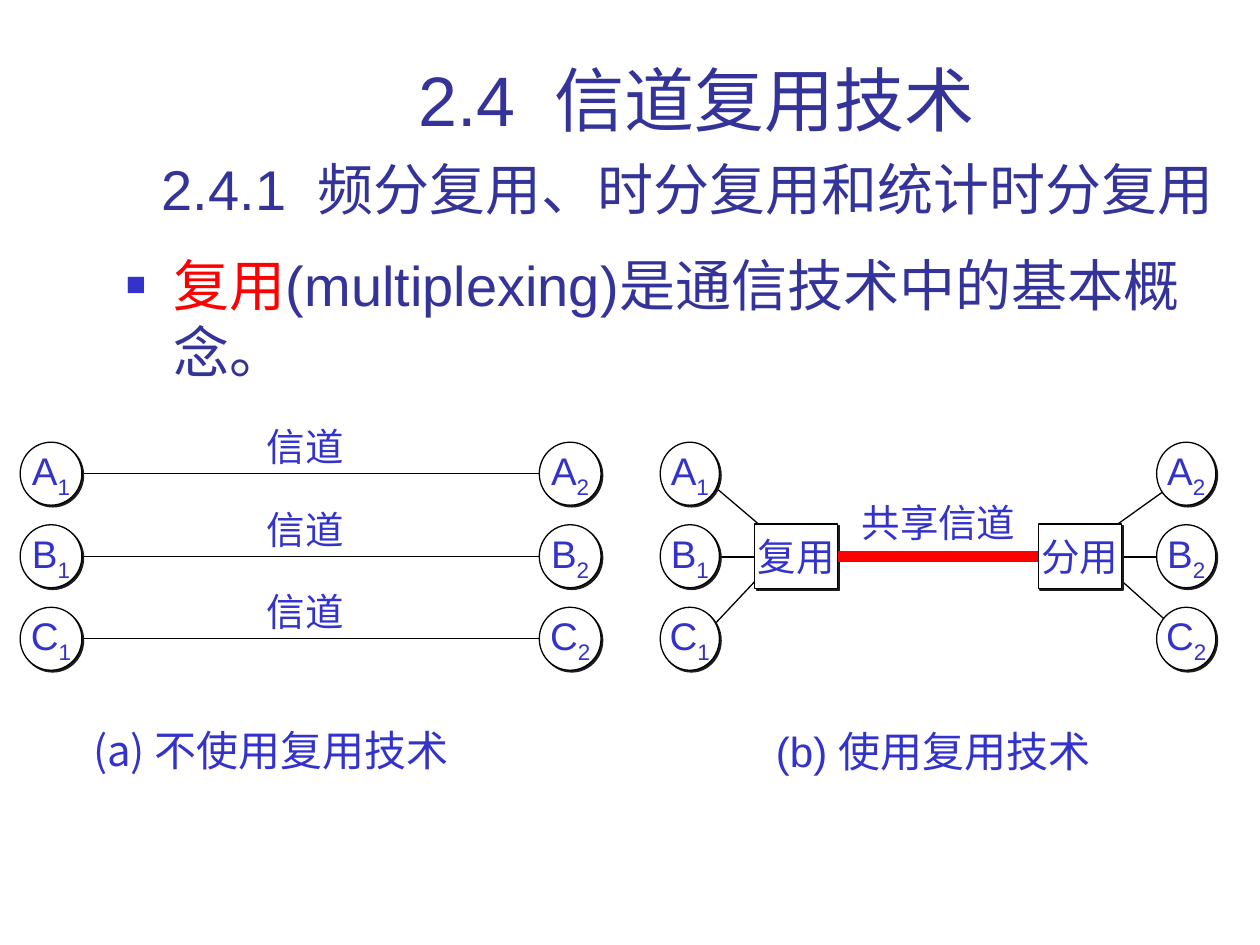
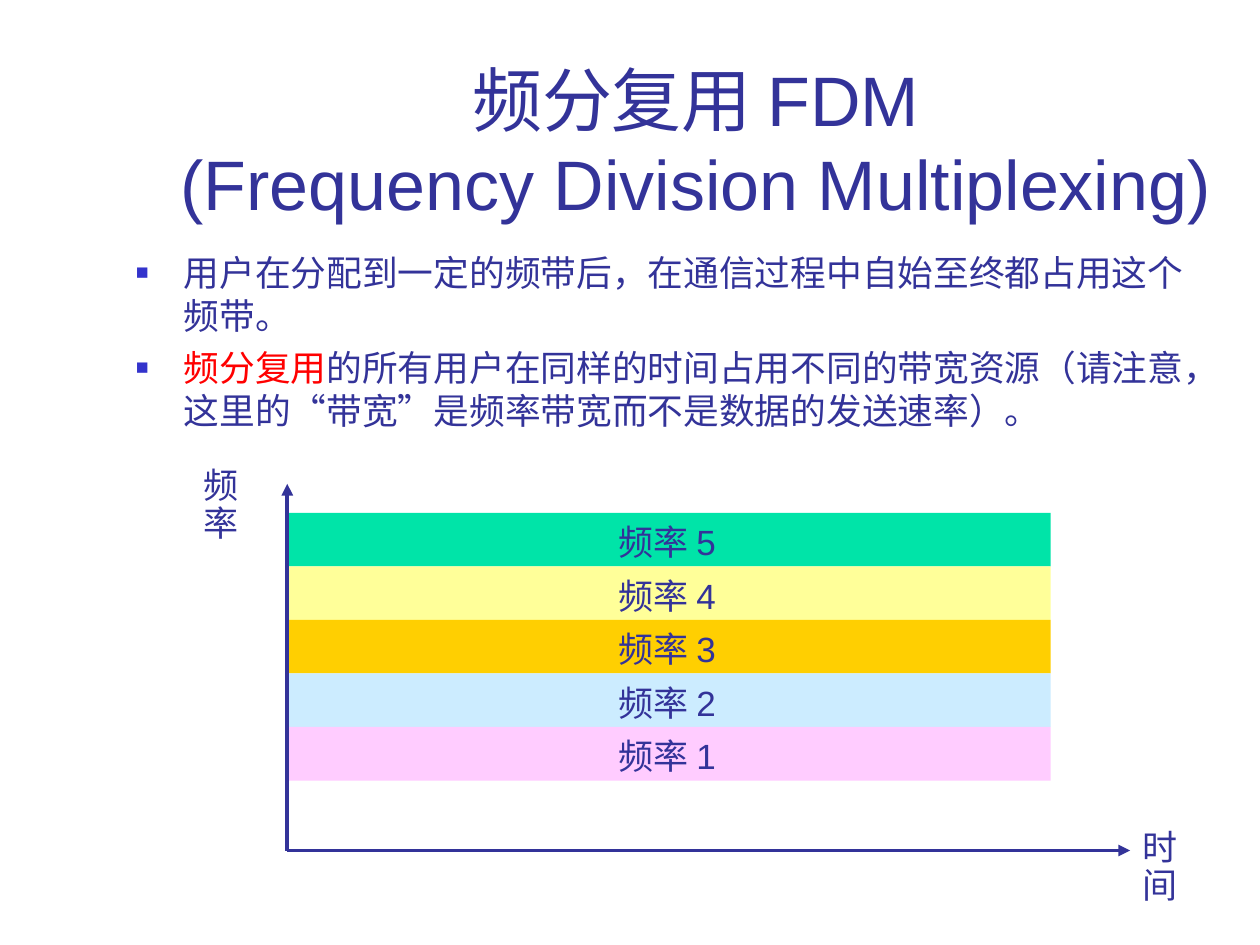
from lxml.etree import SubElement
from pptx import Presentation
from pptx.dml.color import RGBColor
from pptx.enum.shapes import MSO_CONNECTOR, MSO_SHAPE
from pptx.enum.text import MSO_ANCHOR, MSO_AUTO_SIZE, PP_ALIGN
from pptx.oxml.ns import qn
from pptx.util import Inches, Pt

HUES = {
    "navy": "333399", "blue": "3333CC", "red": "FF0000", "black": "000000",
    "white": "FFFFFF", "shade": "1C1C1C", "green": "00E4A8", "yellow": "FFFF99",
    "gold": "FFCF01", "sky": "CCECFF", "pink": "FFCCFF",
}
SANS, CJK, SERIF = "Arial", "Noto Sans CJK SC", "Times New Roman"


def hue(name):
    """Return the colour with this name."""
    return RGBColor.from_string(HUES[name])


def write(frame, paras, size=22, color="blue", font=SANS, align=PP_ALIGN.LEFT,
          anchor=MSO_ANCHOR.TOP, wrap=False, gap=None, lead=None, bullet=False):
    """Write paragraphs of (text, overrides) runs into a text frame."""
    frame.word_wrap = wrap
    frame.vertical_anchor = anchor
    for i, runs in enumerate(paras):
        para = frame.add_paragraph() if i else frame.paragraphs[0]
        para.alignment = align
        if gap is not None:
            para.space_before = Pt(gap)
        if lead:
            para.line_spacing = lead
        if bullet:
            mark(para)
        for words, extra in runs:
            if words == "\n":
                para.add_line_break()
                continue
            run = para.add_run()
            run.text = words
            run.font.name = font
            run.font.size = Pt(extra.get("size", size))
            run.font.color.rgb = hue(extra.get("color", color))
            props = run.font._element
            SubElement(props, qn("a:ea"), typeface=CJK)
            if "base" in extra:
                props.set("baseline", str(extra["base"] * 1000))


def mark(para):
    """Give a paragraph a hanging square bullet."""
    props = para._p.get_or_add_pPr()
    props.set("marL", str(Inches(0.38)))
    props.set("indent", str(-Inches(0.38)))
    tint = SubElement(props, qn("a:buClr"))
    SubElement(tint, qn("a:srgbClr"), val=HUES["blue"])
    SubElement(props, qn("a:buSzPct"), val="60000")
    SubElement(props, qn("a:buFont"), typeface=SANS)
    SubElement(props, qn("a:buChar"), char="■")


def text(slide, box, paras, grow=False, **style):
    """Add a text box."""
    frame = slide.shapes.add_textbox(*map(Inches, box)).text_frame
    write(frame, paras, **style)
    frame.auto_size = MSO_AUTO_SIZE.SHAPE_TO_FIT_TEXT if grow else MSO_AUTO_SIZE.NONE


def label(slide, box, words, **style):
    """Add a one-line label that fits its words."""
    text(slide, box, [[(words, {})]], grow=True, **style)


def title(slide, box, runs):
    """Add the slide title."""
    text(slide, box, [runs], size=40, color="navy", align=PP_ALIGN.CENTER,
         anchor=MSO_ANCHOR.BOTTOM, wrap=True)


def body(slide, box, paras, size, gap):
    """Add the bulleted text."""
    text(slide, box, paras, size=size, color="navy", gap=gap, wrap=True, bullet=True)


def shape(slide, kind, box, fill):
    """Add a plain filled shape."""
    item = slide.shapes.add_shape(kind, *map(Inches, box))
    item.shadow.inherit = False
    item.fill.solid()
    item.fill.fore_color.rgb = hue(fill)
    item.line.fill.background()
    return item


def node(slide, kind, box, runs):
    """Add an outlined, shadowed node with centred text."""
    item = shape(slide, kind, box, "white")
    item.line.color.rgb = hue("black")
    item.line.width = Pt(0.75)
    cast = SubElement(item._element.spPr.find(qn("a:effectLst")), qn("a:outerShdw"),
                      dist=str(Pt(1.4)), dir="2700000", algn="ctr", rotWithShape="0")
    SubElement(cast, qn("a:srgbClr"), val=HUES["shade"])
    write(item.text_frame, [runs], align=PP_ALIGN.CENTER, anchor=MSO_ANCHOR.MIDDLE)
    return item


def line(slide, start, end, color="black", width=0.75, arrow=False):
    """Add a straight line, with an arrowhead at its end if asked."""
    item = slide.shapes.add_connector(
        MSO_CONNECTOR.STRAIGHT, *map(Inches, (*start, *end)))
    item.line.color.rgb = hue(color)
    item.line.width = Pt(width)
    if arrow:
        SubElement(item.line._get_or_add_ln(), qn("a:tailEnd"), type="triangle")
    SubElement(item._element.spPr, qn("a:effectLst"))
    return item


def hosts(slide, left, top, width, span):
    """Add two facing columns of round hosts A, B and C."""
    for row, name in enumerate("ABC"):
        for side in (0, 1):
            node(slide, MSO_SHAPE.OVAL,
                 (left + side * span, top + row * 0.655, width, 0.5),
                 [(name, {}), (str(side + 1), {"base": -25})])


def single(slide, left, top):
    """Draw three pairs of hosts, each with a channel of its own."""
    for row in range(3):
        y = top + 0.25 + row * 0.655
        line(slide, (left + 0.49, y), (left + 4.21, y))
        label(slide, (left + 1.86, y - 0.45, 0.81, 0.47), "信道", font=CJK)
    hosts(slide, left, top, 0.49, 4.12)
    label(slide, (left + 0.48, top + 2.19, 3.41, 0.5), "(a) 不使用复用技术",
          size=24, font=CJK)


def shared(slide, left, top):
    """Draw three pairs of hosts that share one channel."""
    mid = top + 0.91
    line(slide, (left + 0.46, mid), (left + 4.03, mid))
    for near, far in ((0.37, 0.84), (4.12, 3.56)):
        line(slide, (left + near, top + 0.3), (left + far, top + 0.7))
        line(slide, (left + near, top + 1.51), (left + far, top + 1.01))
    hosts(slide, left, top, 0.47, 3.94)
    label(slide, (left + 1.5, top + 0.4, 1.42, 0.47), "共享信道")
    ends = [node(slide, MSO_SHAPE.RECTANGLE, (left + x, top + 0.65, 0.66, 0.51),
                 [(name, {})]) for x, name in ((0.75, "复用"), (3, "分用"))]
    link = line(slide, (left + 1.41, mid), (left + 3, mid), "red", 6)
    link.begin_connect(ends[0], 3)
    link.end_connect(ends[1], 1)
    label(slide, (left + 0.82, top + 2.2, 2.78, 0.5), "(b) 使用复用技术", size=24)


def bands(slide, left, top):
    """Draw the frequency bands over time, with their axes."""
    style = {"size": 20, "color": "navy", "lead": 0.9}
    for row, fill in enumerate(("green", "yellow", "gold", "sky", "pink")):
        y = top + 0.23 + row * 0.425
        shape(slide, MSO_SHAPE.RECTANGLE, (left, y, 6.06, 0.425), fill)
        label(slide, (left + 2.53, y + 0.05, 1.11, 0.4), f"频率 {5 - row}", **style)
    base = top + 2.91
    line(slide, (left, base), (left + 6.69, base), "navy", 2.25, True)
    line(slide, (left, base), (left, top), "navy", 2.25, True)
    label(slide, (left - 0.76, top - 0.17, 0.75, 0.4), "频率", font=SERIF, **style)
    label(slide, (left + 6.69, base - 0.21, 0.75, 0.4), "时间", font=SERIF, **style)


def intro(slide):
    """Build the slide on multiplexing."""
    title(slide, (0.93, 0.23, 9.19, 1.6), [
        ("2.4  信道复用技术", {}), ("\n", {}),
        ("2.4.1  频分复用、时分复用和统计时分复用", {"size": 32}), (" ", {})])
    body(slide, (0.9, 1.94, 8.74, 1.3), [[
        ("复用", {"color": "red"}), ("(multiplexing)是通信技术中的基本概念。", {})]], 32, 8)
    single(slide, 0.16, 3.51)
    shared(slide, 5.24, 3.51)


def division(slide):
    """Build the slide on frequency division."""
    title(slide, (1.26, 0.23, 8.52, 1.6), [
        ("频分复用 FDM", {}), ("\n", {}), ("(Frequency Division Multiplexing) ", {})])
    body(slide, (0.98, 1.94, 8.66, 1.97), [
        [("用户在分配到一定的频带后，在通信过程中自始至终都占用这个频带。", {})],
        [("频分复用", {"color": "red"}),
         ("的所有用户在同样的时间占用不同的带宽资源（请注意，"
          "这里的“带宽”是频率带宽而不是数据的发送速率）。", {})]], 20.4, 5.5)
    bands(slide, 2.28, 3.84)


def main():
    """Build and save the deck."""
    deck = Presentation()
    deck.slide_width, deck.slide_height = Inches(10), Inches(7.5)
    for build in (intro, division):
        build(deck.slides.add_slide(deck.slide_layouts[6]))
    deck.save("out.pptx")


if __name__ == "__main__":
    main()
